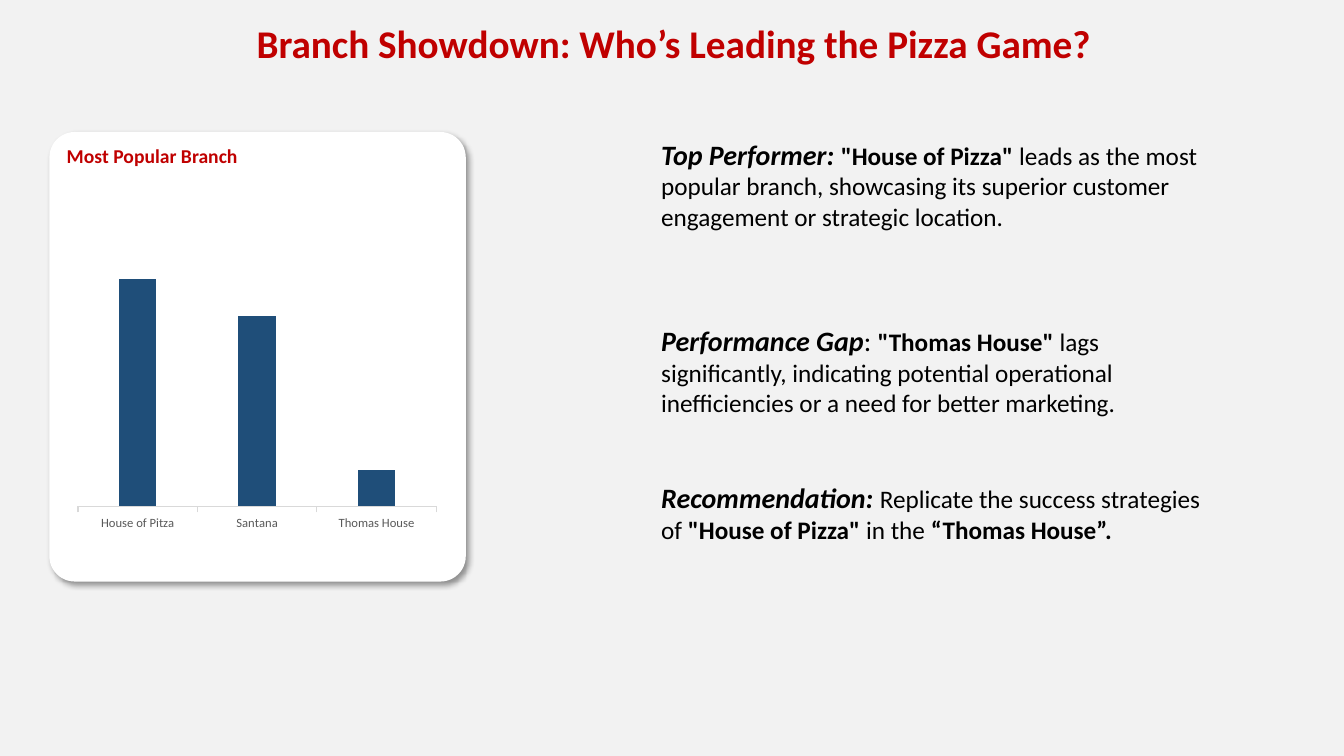
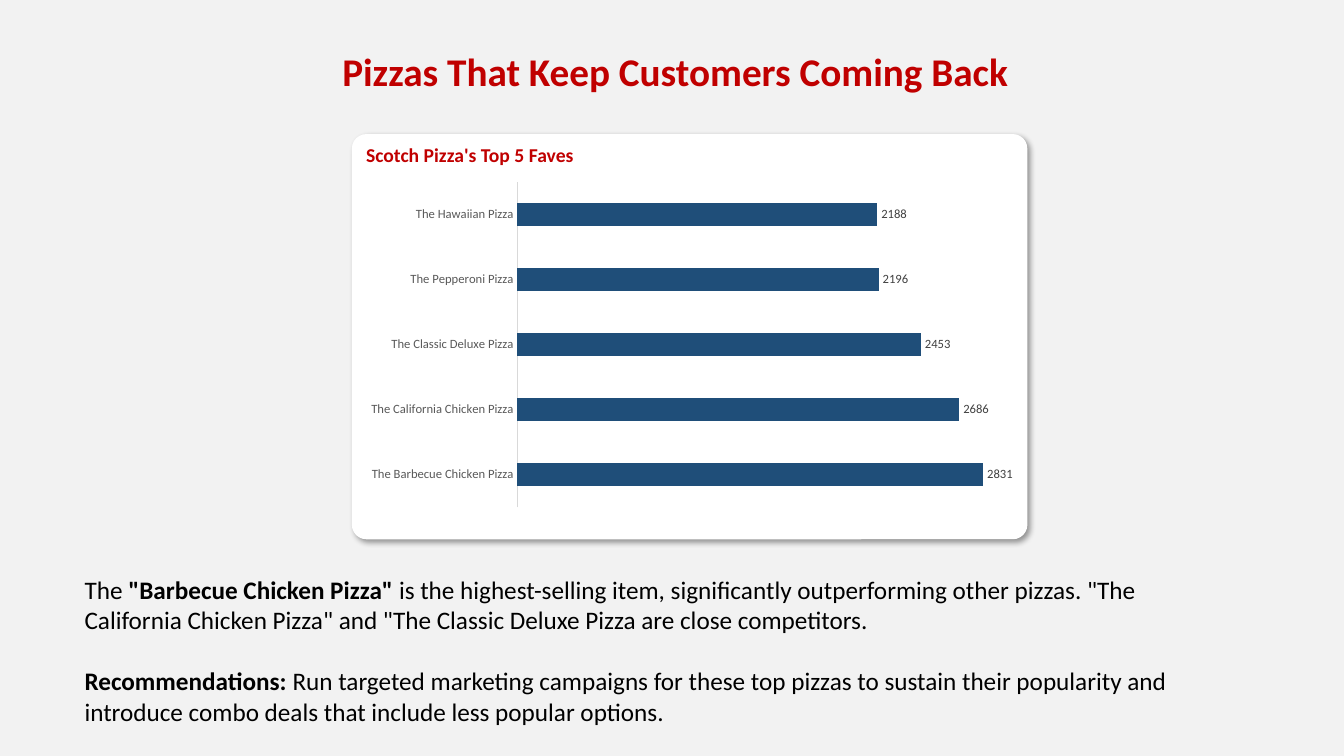
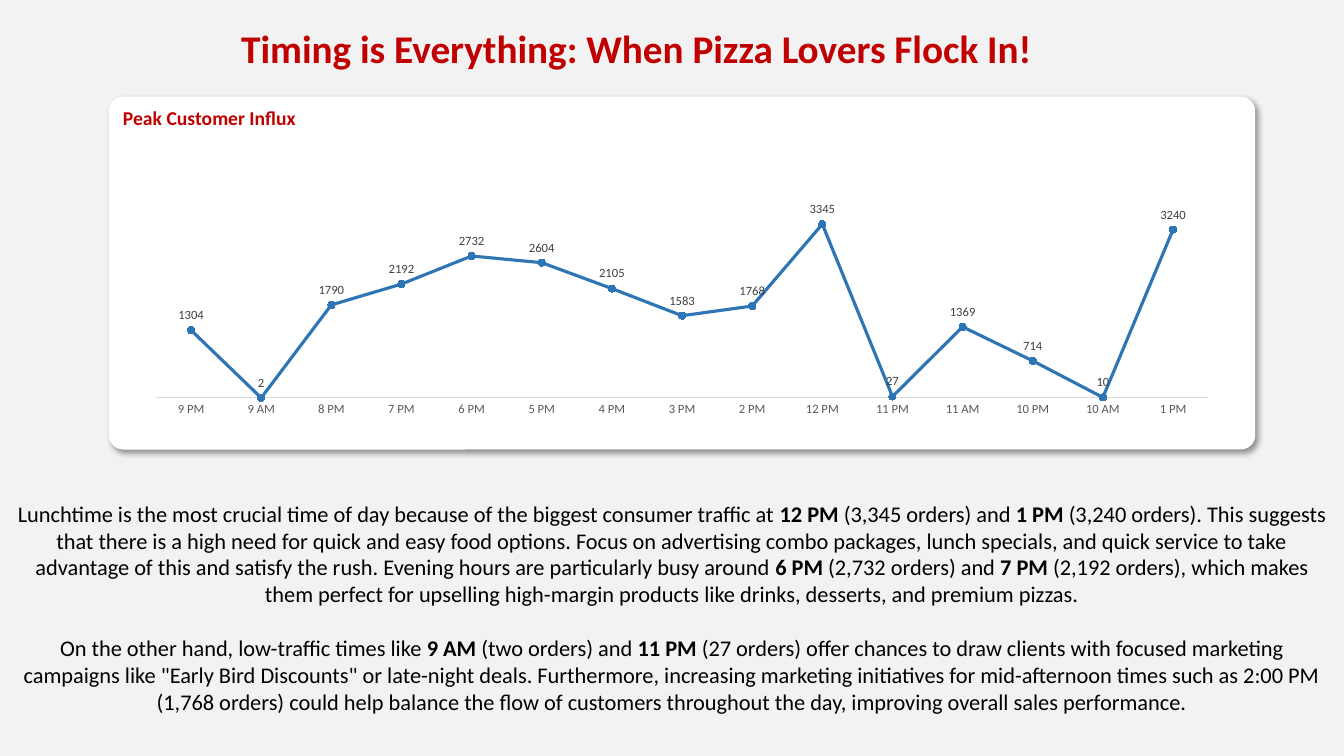
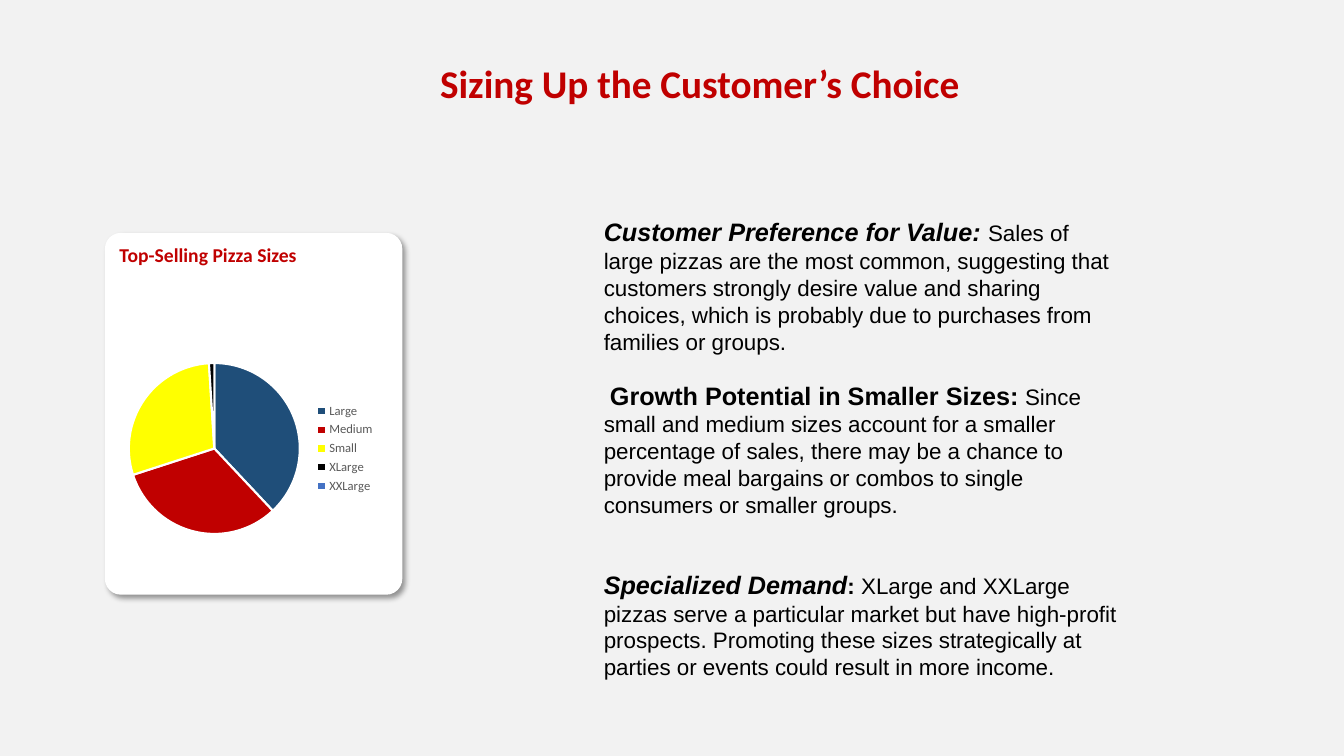
from dataclasses import dataclass

import lxml.etree
import pptx
import pptx.chart.data
import pptx.dml.color
import pptx.enum.chart
import pptx.enum.shapes
import pptx.enum.text
import pptx.oxml
import pptx.oxml.ns
import pptx.util

Inches = pptx.util.Inches
Pt = pptx.util.Pt
ChartType = pptx.enum.chart.XL_CHART_TYPE
LabelPosition = pptx.enum.chart.XL_LABEL_POSITION
TickMark = pptx.enum.chart.XL_TICK_MARK
Align = pptx.enum.text.PP_ALIGN
Anchor = pptx.enum.text.MSO_ANCHOR

FONT = "Calibri"
COLORS = {
    "background": "F2F2F2",
    "card": "FFFFFF",
    "heading": "C00000",
    "text": "000000",
    "axis_text": "595959",
    "axis_line": "D9D9D9",
    "label": "404040",
    "bar": "1F4E79",
    "line": "2E75B6",
    "marker": "5B9BD5",
}
PIE_COLORS = ["1F4E79", "C00000", "FFFF00", "000000", "4472C4"]


@dataclass(frozen=True)
class Box:
    left: float
    top: float
    width: float
    height: float

    def lengths(self) -> tuple:
        return tuple(Inches(v) for v in (self.left, self.top, self.width, self.height))


@dataclass(frozen=True)
class Run:
    text: str
    bold: bool = False
    italic: bool = False
    large: bool = False


@dataclass(frozen=True)
class Passage:
    runs: list[Run]
    space_before: float = 0


@dataclass(frozen=True)
class Body:
    box: Box
    passages: list[Passage]
    size: int = 18
    font: str = FONT
    align: Align = Align.LEFT
    anchor: Anchor = Anchor.TOP


@dataclass(frozen=True)
class Card:
    box: Box
    corner: float
    heading: str


@dataclass(frozen=True)
class ChartSpec:
    box: Box
    kind: ChartType
    values: dict[str, int]
    maximum: int = 0
    gap: int = 0
    overlap: int = 0
    tick: TickMark = TickMark.NONE
    label_position: LabelPosition | None = None


@dataclass(frozen=True)
class SlideSpec:
    title: str
    title_box: Box
    card: Card
    chart: ChartSpec
    body: Body


def strong(text: str) -> Run:
    return Run(text, bold=True)


def lead(text: str) -> Run:
    return Run(text, bold=True, italic=True, large=True)


def rgb(value: str) -> pptx.dml.color.RGBColor:
    return pptx.dml.color.RGBColor.from_string(value)


def style_font(font, size: float, color: str, bold: bool = False, name: str = FONT) -> None:
    font.name = name
    font.size = Pt(size)
    font.bold = bold
    font.color.rgb = rgb(color)


def fill(target, color: str) -> None:
    target.fill.solid()
    target.fill.fore_color.rgb = rgb(color)


def add_title(slide, text: str, box: Box) -> None:
    title = slide.shapes.title
    title.left, title.top, title.width, title.height = box.lengths()
    frame = title.text_frame
    frame.text = text
    frame.word_wrap = True
    frame.auto_size = pptx.enum.text.MSO_AUTO_SIZE.NONE
    frame.vertical_anchor = Anchor.TOP
    paragraph = frame.paragraphs[0]
    paragraph.alignment = Align.CENTER
    style_font(paragraph.runs[0].font, 28, COLORS["heading"], True)


def add_card_shadow(shape) -> None:
    shape.shadow.inherit = False
    effects = shape.element.spPr.find(pptx.oxml.ns.qn("a:effectLst"))
    shadow = lxml.etree.SubElement(
        effects,
        pptx.oxml.ns.qn("a:outerShdw"),
        blurRad=str(Pt(4)),
        dist=str(Pt(3)),
        dir=str(45 * 60000),
        algn="tl",
        rotWithShape="0",
    )
    color = lxml.etree.SubElement(shadow, pptx.oxml.ns.qn("a:srgbClr"), val="000000")
    lxml.etree.SubElement(color, pptx.oxml.ns.qn("a:alpha"), val="40000")


def add_card(slide, card: Card) -> None:
    shape = slide.shapes.add_shape(
        pptx.enum.shapes.MSO_SHAPE.ROUNDED_RECTANGLE, *card.box.lengths()
    )
    shape.adjustments[0] = card.corner
    fill(shape, COLORS["card"])
    shape.line.fill.background()
    add_card_shadow(shape)
    frame = shape.text_frame
    frame.text = card.heading
    frame.vertical_anchor = Anchor.TOP
    paragraph = frame.paragraphs[0]
    paragraph.alignment = Align.LEFT
    style_font(paragraph.runs[0].font, 14, COLORS["heading"], True)


def format_axes(chart, spec: ChartSpec) -> None:
    category_axis = chart.category_axis
    category_axis.major_tick_mark = spec.tick
    category_axis.minor_tick_mark = TickMark.NONE
    category_axis.has_major_gridlines = False
    category_axis.format.line.color.rgb = rgb(COLORS["axis_line"])
    category_axis.format.line.width = Pt(0.75)
    style_font(category_axis.tick_labels.font, 9, COLORS["axis_text"])
    value_axis = chart.value_axis
    value_axis.has_major_gridlines = False
    value_axis.minimum_scale = 0
    value_axis.maximum_scale = spec.maximum
    value_axis.visible = False


def format_pie(chart) -> None:
    for index, color in enumerate(PIE_COLORS):
        point = chart.plots[0].series[0].points[index]
        fill(point.format, color)
        point.format.line.color.rgb = rgb(COLORS["card"])
        point.format.line.width = Pt(1.5)
    chart.has_legend = True
    chart.legend.position = pptx.enum.chart.XL_LEGEND_POSITION.RIGHT
    chart.legend.include_in_layout = False
    style_font(chart.legend.font, 9, COLORS["axis_text"])


def format_line(series) -> None:
    series.smooth = False
    series.format.line.color.rgb = rgb(COLORS["line"])
    series.format.line.width = Pt(2.25)
    series.marker.style = pptx.enum.chart.XL_MARKER_STYLE.CIRCLE
    series.marker.size = 5
    fill(series.marker.format, COLORS["marker"])
    series.marker.format.line.color.rgb = rgb(COLORS["marker"])


def add_chart(slide, spec: ChartSpec) -> None:
    data = pptx.chart.data.CategoryChartData()
    data.categories = list(spec.values)
    data.add_series("Series 1", list(spec.values.values()))
    chart = slide.shapes.add_chart(spec.kind, *spec.box.lengths(), data).chart
    chart.has_title = False
    chart.has_legend = False
    style_font(chart.font, 10, COLORS["text"])
    plot = chart.plots[0]
    series = plot.series[0]
    plot.vary_by_categories = spec.kind == ChartType.PIE
    if spec.kind == ChartType.PIE:
        format_pie(chart)
    else:
        format_axes(chart, spec)
        if spec.kind == ChartType.LINE_MARKERS:
            format_line(series)
        else:
            plot.gap_width = spec.gap
            plot.overlap = spec.overlap
            fill(series.format, COLORS["bar"])
    if spec.label_position is not None:
        labels = series.data_labels
        labels.show_value = True
        labels.position = spec.label_position
        style_font(labels.font, 9, COLORS["label"])


def add_body(slide, body: Body) -> None:
    frame = slide.shapes.add_textbox(*body.box.lengths()).text_frame
    frame.word_wrap = True
    frame.vertical_anchor = body.anchor
    for index, passage in enumerate(body.passages):
        paragraph = frame.add_paragraph() if index else frame.paragraphs[0]
        paragraph.alignment = body.align
        paragraph.space_before = Pt(passage.space_before)
        for part in passage.runs:
            run = paragraph.add_run()
            run.text = part.text
            size = body.size + 2 if part.large else body.size
            style_font(run.font, size, COLORS["text"], part.bold, body.font)
            run.font.italic = part.italic


SLIDES = [
    SlideSpec(
        "Branch Showdown: Who’s Leading the Pizza Game?",
        Box(1.81, 0.14, 9.74, 0.57),
        Card(Box(0.49, 1.31, 4.13, 4.46), 0.061, "Most Popular Branch"),
        ChartSpec(
            Box(0.7, 2.26, 3.7, 3.07),
            ChartType.COLUMN_CLUSTERED,
            {"House of Pitza": 100, "Santana": 84, "Thomas House": 16},
            maximum=120,
            gap=219,
            overlap=-27,
            tick=TickMark.OUTSIDE,
        ),
        Body(
            Box(6.46, 1.31, 5.63, 4.21),
            [
                Passage([
                    lead("Top Performer: "),
                    strong('"House of Pizza" '),
                    Run("leads as the most popular branch, showcasing its superior "
                        "customer engagement or strategic location."),
                ]),
                Passage([
                    lead("Performance Gap"),
                    Run(": ", large=True),
                    strong('"Thomas House" '),
                    Run("lags significantly, indicating potential operational "
                        "inefficiencies or a need for better marketing."),
                ], 66),
                Passage([
                    lead("Recommendation: "),
                    Run("Replicate the success strategies of "),
                    strong('"House of Pizza" '),
                    Run("in the "),
                    strong("“Thomas House”."),
                ], 45),
            ],
        ),
    ),
    SlideSpec(
        "Pizzas That Keep Customers Coming Back",
        Box(2.6, 0.42, 8.19, 0.57),
        Card(Box(3.49, 1.33, 6.7, 4.02), 0.036, "Scotch Pizza's Top 5 Faves"),
        ChartSpec(
            Box(3.55, 1.74, 6.61, 3.36),
            ChartType.BAR_CLUSTERED,
            {
                "The Barbecue Chicken Pizza": 2831,
                "The California Chicken Pizza": 2686,
                "The Classic Deluxe Pizza": 2453,
                "The Pepperoni Pizza": 2196,
                "The Hawaiian Pizza": 2188,
            },
            maximum=3000,
            gap=182,
            label_position=LabelPosition.OUTSIDE_END,
        ),
        Body(
            Box(0.74, 5.65, 11.09, 1.62),
            [
                Passage([
                    Run("The "),
                    strong('"Barbecue Chicken Pizza" '),
                    Run("is the highest-selling item, significantly outperforming other "
                        'pizzas. "The California Chicken Pizza" and "The Classic Deluxe '
                        "Pizza are close competitors."),
                ]),
                Passage([
                    strong("Recommendations:"),
                    Run(" Run targeted marketing campaigns for these top pizzas to sustain "
                        "their popularity and introduce combo deals that include less "
                        "popular options."),
                ], 22),
            ],
        ),
    ),
    SlideSpec(
        "Timing is Everything: When Pizza Lovers Flock In!",
        Box(2.02, 0.19, 8.58, 0.57),
        Card(Box(1.08, 0.96, 11.37, 3.5), 0.041, "Peak Customer Influx"),
        ChartSpec(
            Box(1.33, 1.84, 10.87, 2.34),
            ChartType.LINE_MARKERS,
            {
                "9 PM": 1304, "9 AM": 2, "8 PM": 1790, "7 PM": 2192, "6 PM": 2732,
                "5 PM": 2604, "4 PM": 2105, "3 PM": 1583, "2 PM": 1768, "12 PM": 3345,
                "11 PM": 27, "11 AM": 1369, "10 PM": 714, "10 AM": 10, "1 PM": 3240,
            },
            maximum=4000,
            label_position=LabelPosition.ABOVE,
        ),
        Body(
            Box(0, 4.91, 13.33, 2.26),
            [
                Passage([
                    Run("Lunchtime is the most crucial time of day because of the biggest "
                        "consumer traffic at "),
                    strong("12 PM "),
                    Run("(3,345 orders) and "),
                    strong("1 PM "),
                    Run("(3,240 orders). This suggests that there is a high need for quick "
                        "and easy food options. Focus on advertising combo packages, lunch "
                        "specials, and quick service to take advantage of this and satisfy "
                        "the rush. Evening hours are particularly busy around "),
                    strong("6 PM "),
                    Run("(2,732 orders) and "),
                    strong("7 PM "),
                    Run("(2,192 orders), which makes them perfect for upselling high-margin "
                        "products like drinks, desserts, and premium pizzas."),
                ]),
                Passage([
                    Run("On the other hand, low-traffic times like "),
                    strong("9 AM "),
                    Run("(two orders) and "),
                    strong("11 PM "),
                    Run("(27 orders) offer chances to draw clients with focused marketing "
                        'campaigns like "Early Bird Discounts" or late-night deals. '
                        "Furthermore, increasing marketing initiatives for mid-afternoon "
                        "times such as 2:00 PM (1,768 orders) could help balance the flow "
                        "of customers throughout the day, improving overall sales "
                        "performance."),
                ], 19.5),
            ],
            size=16,
            align=Align.CENTER,
        ),
    ),
    SlideSpec(
        "Sizing Up the Customer’s Choice",
        Box(3.23, 0.54, 7.42, 0.57),
        Card(Box(1.04, 2.31, 2.95, 3.59), 0.054, "Top-Selling Pizza Sizes"),
        ChartSpec(
            Box(1.14, 3.06, 2.68, 2.78),
            ChartType.PIE,
            {"Large": 38, "Medium": 32, "Small": 29, "XLarge": 1, "XXLarge": 0},
        ),
        Body(
            Box(5.89, 2.06, 5.3, 4.78),
            [
                Passage([
                    lead("Customer Preference for Value: "),
                    Run("Sales of large pizzas are the most common, suggesting that "
                        "customers strongly desire value and sharing choices, which is "
                        "probably due to purchases from families or groups."),
                ]),
                Passage([
                    Run(" "),
                    Run("Growth Potential in Smaller Sizes:", bold=True, large=True),
                    Run(" Since small and medium sizes account for a smaller percentage of "
                        "sales, there may be a chance to provide meal bargains or combos to "
                        "single consumers or smaller groups."),
                ], 18.4),
                Passage([
                    lead("Specialized Demand"),
                    strong(": "),
                    Run("XLarge and XXLarge pizzas serve a particular market but have "
                        "high-profit prospects. Promoting these sizes strategically at "
                        "parties or events could result in more income."),
                ], 36.8),
            ],
            size=16,
            font="Arial",
            anchor=Anchor.MIDDLE,
        ),
    ),
]


def main() -> None:
    presentation = pptx.Presentation()
    presentation.slide_width = Inches(13.33)
    presentation.slide_height = Inches(7.5)
    fill(presentation.slide_master.background, COLORS["background"])
    title_only = presentation.slide_layouts[5]
    for content in SLIDES:
        slide = presentation.slides.add_slide(title_only)
        add_title(slide, content.title, content.title_box)
        add_card(slide, content.card)
        add_chart(slide, content.chart)
        add_body(slide, content.body)
    presentation.save("out.pptx")


if __name__ == "__main__":
    main()
